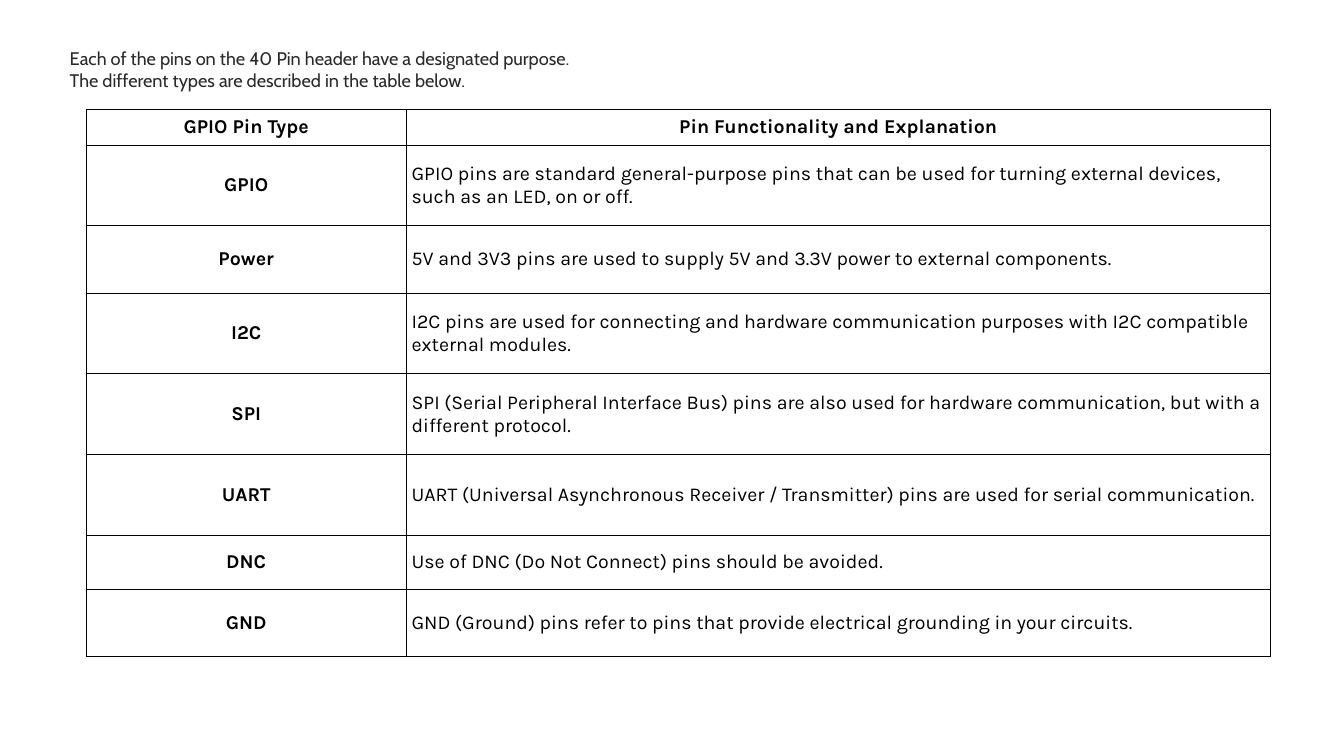
from dataclasses import dataclass

from lxml import etree
from pptx import Presentation
from pptx.dml.color import RGBColor
from pptx.enum.text import MSO_ANCHOR, PP_ALIGN
from pptx.oxml.ns import qn
from pptx.util import Emu, Pt

MIDDLE, TOP = MSO_ANCHOR.MIDDLE, MSO_ANCHOR.TOP
CENTER, LEFT = PP_ALIGN.CENTER, PP_ALIGN.LEFT
BLANK = 6
PX = 9525


@dataclass(frozen=True)
class Theme:
    """Colours, fonts and sizes of the slide."""
    ink: str = "000000"
    intro_ink: str = "2A2A2A"
    cell_fill: str = "FFFFFF"
    intro_font: str = "Cabin"
    table_font: str = "Karla"
    intro_size: int = 13
    table_size: int = 14
    border: float = 0.6


THEME = Theme()

INTRO = [
    "Each of the pins on the 40 Pin header have a designated purpose.",
    "The different types are described in the table below.",
]
COLUMN_WIDTHS = [305, 823]
PIN_ROWS = [
    (34, "GPIO Pin Type", "Pin Functionality and Explanation"),
    (77, "GPIO", "GPIO pins are standard general-purpose pins that can be used for "
                 "turning external devices, such as an LED, on or off."),
    (64, "Power", "5V and 3V3 pins are used to supply 5V and 3.3V power to "
                  "external components."),
    (77, "I2C", "I2C pins are used for connecting and hardware communication "
                "purposes with I2C compatible external modules."),
    (77, "SPI", "SPI (Serial Peripheral Interface Bus) pins are also used for "
                "hardware communication, but with a different protocol."),
    (77, "UART", "UART (Universal Asynchronous Receiver / Transmitter) pins are "
                 "used for serial communication."),
    (51, "DNC", "Use of DNC (Do Not Connect) pins should be avoided."),
    (64, "GND", "GND (Ground) pins refer to pins that provide electrical "
                "grounding in your circuits."),
]


def px(n):
    """Turn px into EMU."""
    return Emu(n * PX)


def set_attrs(obj, values):
    """Set each named attribute of an object."""
    for name, value in values.items():
        setattr(obj, name, value)


def write(p, text, font, size, color, bold=False, align=LEFT):
    """Put one formatted run in a paragraph."""
    p.alignment = align
    r = p.add_run()
    r.text = text
    set_attrs(r.font, {"name": font, "size": Pt(size), "bold": bold})
    r.font.color.rgb = RGBColor.from_string(color)


def add_borders(cell):
    """Draw a thin line on all four sides of a cell."""
    tc_pr = cell._tc.get_or_add_tcPr()
    for side in ("a:lnL", "a:lnR", "a:lnT", "a:lnB"):
        ln = etree.SubElement(tc_pr, qn(side), w=str(Pt(THEME.border)))
        fill = etree.SubElement(ln, qn("a:solidFill"))
        etree.SubElement(fill, qn("a:srgbClr"), val=THEME.ink)


def add_intro(s, x, y, w, h):
    """Place the introduction lines in a box."""
    tf = s.shapes.add_textbox(px(x), px(y), px(w), px(h)).text_frame
    set_attrs(tf, {"word_wrap": True, "vertical_anchor": TOP})
    for i, line in enumerate(INTRO):
        p = tf.add_paragraph() if i else tf.paragraphs[0]
        write(p, line, THEME.intro_font, THEME.intro_size, THEME.intro_ink)


def fill_cell(cell, text, is_header, is_label):
    """Format one table cell and write its text."""
    side, end = (2, 3) if is_header else (5, 5)
    set_attrs(cell, {
        "margin_left": px(side), "margin_right": px(side),
        "margin_top": px(end), "margin_bottom": px(end),
        "vertical_anchor": MIDDLE,
    })
    add_borders(cell)
    cell.fill.solid()
    cell.fill.fore_color.rgb = RGBColor.from_string(THEME.cell_fill)
    strong = is_header or is_label
    write(cell.text_frame.paragraphs[0], text, THEME.table_font, THEME.table_size,
          THEME.ink, strong, CENTER if strong else LEFT)


def add_pin_table(s, x, y):
    """Place the table of pin types with its top left corner at x, y."""
    width, height = sum(COLUMN_WIDTHS), sum(row[0] for row in PIN_ROWS)
    table = s.shapes.add_table(len(PIN_ROWS), len(COLUMN_WIDTHS),
                               px(x), px(y), px(width), px(height)).table
    set_attrs(table, {"first_row": False, "horz_banding": False})
    for column, w in zip(table.columns, COLUMN_WIDTHS):
        column.width = px(w)
    for i, (h, *texts) in enumerate(PIN_ROWS):
        table.rows[i].height = px(h)
        for j, text in enumerate(texts):
            fill_cell(table.cell(i, j), text, i == 0, j == 0)


def main():
    """Build and save the slide."""
    prs = Presentation()
    set_attrs(prs, {"slide_width": px(1280), "slide_height": px(720)})
    s = prs.slides.add_slide(prs.slide_layouts[BLANK])
    add_pin_table(s, 82, 104)
    add_intro(s, 57, 40, 540, 81)
    prs.save("out.pptx")


if __name__ == "__main__":
    main()
